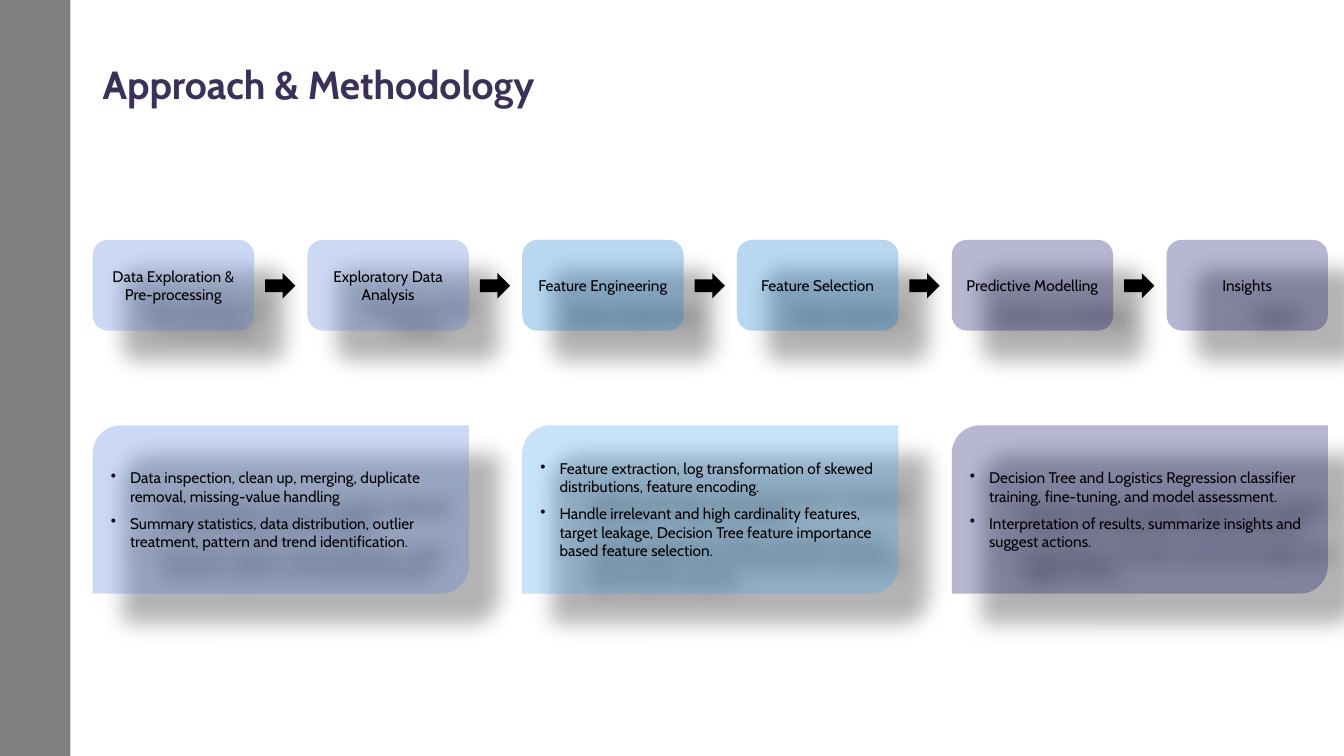
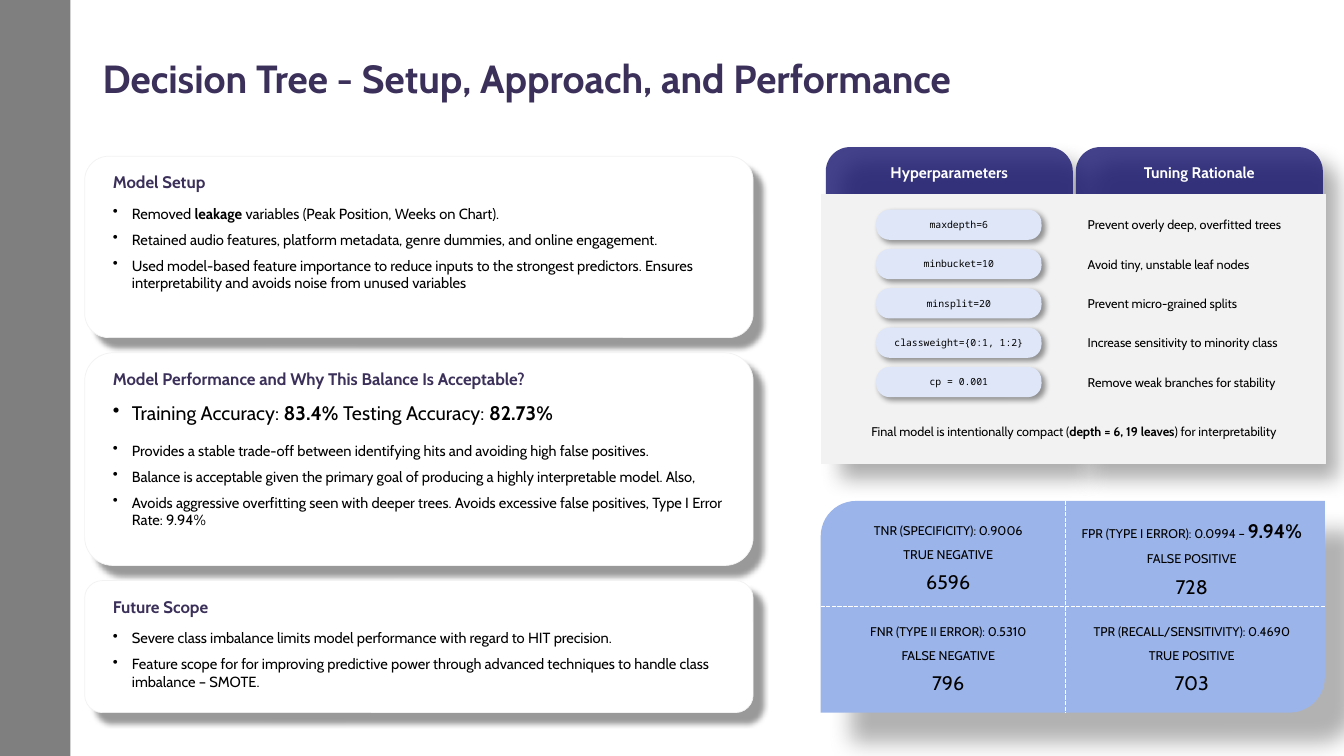
"""Builds two slides: a project methodology flow and decision tree results."""
import pptx
import pptx.util
import pptx.dml.color
import pptx.enum.dml
import pptx.enum.shapes
import pptx.enum.text
import pptx.oxml
from pptx.oxml.ns import qn
from lxml import etree

RGB = pptx.dml.color.RGBColor
SHAPE = pptx.enum.shapes.MSO_SHAPE
ANCHOR = pptx.enum.text.MSO_ANCHOR
CENTER = pptx.enum.text.PP_ALIGN.CENTER
In, Pt = pptx.util.Inches, pptx.util.Pt

BLACK, WHITE = RGB(0, 0, 0), RGB(255, 255, 255)
PLUM = RGB(0x3B, 0x30, 0x59)
PERIWINKLE = RGB(0x59, 0x82, 0xDB)
AZURE = RGB(0x14, 0x80, 0xD1)
SKY = RGB(0x45, 0xA5, 0xED)
INDIGO = RGB(0x15, 0x13, 0x6E)
PALE_GREY = RGB(0xF2, 0xF2, 0xF2)
PILL_BLUE = RGB(0xDE, 0xE6, 0xF8)
MATRIX_BLUE = RGB(0x9B, 0xB4, 0xE9)

WIDTH, HEIGHT = 13.33, 7.5
DEEP_SHADOW = (30, 16, 30)
TAB_SHADOW = (40, 15, 15)
PILL_SHADOW = (40, 4, 3)
PANEL_SHADOW = (40, 4, 10)
DEFAULTS = {"size": 11, "font": "Cabin", "color": BLACK, "bold": False, "bold_size": None,
            "align": None, "after": None, "bullet": False, "spacing": None}
HEADING = {"size": 12, "color": PLUM, "bold": True}

STEPS = [
    ("Data Exploration & Pre-processing", PERIWINKLE),
    ("Exploratory Data Analysis", PERIWINKLE),
    ("Feature Engineering", AZURE),
    ("Feature Selection", AZURE),
    ("Predictive Modelling", INDIGO),
    ("Insights", INDIGO),
]
CARDS = [
    (PERIWINKLE, [
        "Data inspection, clean up, merging, duplicate removal, missing-value handling",
        "Summary statistics, data distribution, outlier treatment, pattern and trend identification."]),
    (SKY, [
        "Feature extraction, log transformation of skewed distributions, feature encoding.",
        "Handle irrelevant and high cardinality features, target leakage, Decision Tree feature "
        "importance based feature selection."]),
    (INDIGO, [
        "Decision Tree and Logistics Regression classifier training, fine-tuning, and model assessment.",
        "Interpretation of results, summarize insights and suggest actions."]),
]
PANELS = [
    ("Model Setup", 1.8, [
        "Removed **leakage** variables (Peak Position, Weeks on Chart).",
        "Retained audio features, platform metadata, genre dummies, and online engagement.",
        "Used model-based feature importance to reduce inputs to the strongest predictors. "
        "Ensures interpretability and avoids noise from unused variables"]),
    ("Model Performance and Why This Balance Is Acceptable?", 2.11, [
        ("Training Accuracy: **83.4%** Testing Accuracy: **82.73%**", {"size": 14, "after": 12}),
        "Provides a stable trade-off between identifying hits and avoiding high false positives.",
        "Balance is acceptable given the primary goal of producing a highly interpretable model. Also,",
        "Avoids aggressive overfitting seen with deeper trees. Avoids excessive false positives, "
        "Type I Error Rate: 9.94%"]),
    ("Future Scope", 1.31, [
        "Severe class imbalance limits model performance with regard to HIT precision.",
        "Feature scope for for improving predictive power through advanced techniques to handle "
        "class imbalance – SMOTE."]),
]
TABS = ["Hyperparameters", "Tuning Rationale"]
TUNING = [
    ("maxdepth=6", "Prevent overly deep, overfitted trees"),
    ("minbucket=10", "Avoid tiny, unstable leaf nodes"),
    ("minsplit=20", "Prevent micro-grained splits"),
    ("classweight={0:1, 1:2}", "Increase sensitivity to minority class"),
    ("cp = 0.001", "Remove weak branches for stability"),
]
TUNING_NOTE = "Final model is intentionally compact (**depth = 6, 19 leaves**) for interpretability"
MATRIX = [
    [("TNR (SPECIFICITY): 0.9006", "TRUE NEGATIVE", "6596"),
     ("FPR (TYPE I ERROR): 0.0994 – **9.94%**", "FALSE POSITIVE", "728")],
    [("FNR (TYPE II ERROR): 0.5310", "FALSE NEGATIVE", "796"),
     ("TPR (RECALL/SENSITIVITY): 0.4690", "TRUE POSITIVE", "703")],
]


def write(sp, paras, anchor=ANCHOR.MIDDLE, inset_top=0.05, **fmt):
    tf = sp.text_frame
    frame = {"word_wrap": True, "vertical_anchor": anchor, "margin_top": In(inset_top)}
    for name, value in frame.items():
        setattr(tf, name, value)
    for i, para in enumerate(paras):
        text, own = (para, {}) if isinstance(para, str) else para
        f = {**DEFAULTS, **fmt, **own}
        p = tf.add_paragraph() if i else tf.paragraphs[0]
        if f["bullet"]:
            pPr = p._p.get_or_add_pPr()
            pPr.set("marL", str(In(0.19)))
            pPr.set("indent", str(In(-0.19)))
            etree.SubElement(pPr, qn("a:buChar")).set("char", "•")
        if f["after"]:
            p.space_after = Pt(f["after"])
        p.alignment, p.line_spacing = f["align"], f["spacing"]
        for j, part in enumerate(text.split("**")):
            if not part:
                continue
            strong = j % 2 == 1
            r = p.add_run()
            r.text = part
            size = f["bold_size"] if strong and f["bold_size"] else f["size"]
            for name, value in {"name": f["font"], "size": Pt(size), "bold": strong or f["bold"]}.items():
                setattr(r.font, name, value)
            r.font.color.rgb = f["color"]


def add_text(s, box, paras, **fmt):
    write(s.shapes.add_textbox(*map(In, box)), paras, **fmt)


def add_shape(s, kind, box, color, alpha=None, line=None, shadow=None, adj=()):
    sp = s.shapes.add_shape(kind, *map(In, box))
    for i, value in enumerate(adj):
        sp.adjustments[i] = value
    sp.fill.solid()
    sp.fill.fore_color.rgb = color
    spPr = sp._element.spPr
    if alpha:
        etree.SubElement(spPr.find(qn("a:solidFill"))[0], qn("a:alpha")).set("val", str(alpha * 1000))
    if line:
        sp.line.color.rgb, sp.line.width = line, Pt(0.5)
    else:
        sp.line.fill.background()
    sp.shadow.inherit = False
    if shadow:
        opacity, blur, dist = shadow
        cast = etree.SubElement(spPr.find(qn("a:effectLst")), qn("a:outerShdw"))
        for name, value in {"blurRad": Pt(blur), "dist": Pt(dist), "dir": 45 * 60000,
                            "algn": "tl", "rotWithShape": 0}.items():
            cast.set(name, str(value))
        tint = etree.SubElement(cast, qn("a:srgbClr"))
        tint.set("val", str(BLACK))
        etree.SubElement(tint, qn("a:alpha")).set("val", str(opacity * 1000))
    return sp


def add_divider(s, *ends):
    line = s.shapes.add_connector(pptx.enum.shapes.MSO_CONNECTOR.STRAIGHT, *map(In, ends))
    line.line.color.rgb, line.line.width = WHITE, Pt(1)
    line.line.dash_style = pptx.enum.dml.MSO_LINE.SQUARE_DOT
    etree.SubElement(line._element.spPr, qn("a:effectLst"))


def new_slide(prs, title, top):
    s = prs.slides.add_slide(prs.slide_layouts[6])
    add_shape(s, SHAPE.RECTANGLE, (0, 0, 0.7, HEIGHT), BLACK, alpha=50)
    add_text(s, (0.92, top, 11.5, 0.53), [title], size=28, color=PLUM, bold=True, spacing=0.9)
    return s


def build_methodology(prs):
    s = new_slide(prs, "Approach & Methodology", 0.6)
    left, pitch, step_w = 0.92, 2.13, 1.6
    for i, (label, color) in enumerate(STEPS):
        x = left + i * pitch
        sp = add_shape(s, SHAPE.ROUNDED_RECTANGLE, (x, 2.38, step_w, 0.9), color, 30, shadow=DEEP_SHADOW)
        write(sp, [label], align=CENTER)
        if i < len(STEPS) - 1:
            add_shape(s, SHAPE.RIGHT_ARROW, (x + 1.71, 2.71, 0.3, 0.25), BLACK)
    for i, (color, points) in enumerate(CARDS):
        box = (left + 2 * i * pitch, 4.22, pitch + step_w, 1.67)
        sp = add_shape(s, SHAPE.ROUND_2_DIAG_RECTANGLE, box, color, 30, shadow=DEEP_SHADOW)
        write(sp, points, bullet=True, after=6, align=pptx.enum.text.PP_ALIGN.LEFT)


def add_panels(s):
    top, gap = 1.55, 0.15
    for heading, height, points in PANELS:
        add_shape(s, SHAPE.ROUNDED_RECTANGLE, (0.84, top, 6.63, height), WHITE,
                  line=PALE_GREY, shadow=PANEL_SHADOW, adj=[0.133])
        add_text(s, (1.02, top + 0.08, 6.28, 0.35), [heading], **HEADING)
        add_text(s, (1.02, top + 0.43, 6.28, height - 0.55), points,
                 anchor=ANCHOR.TOP, size=10.5, bullet=True, after=6)
        top += height + gap


def add_tuning(s):
    tab_w = 2.45
    for i, label in enumerate(TABS):
        x = 8.19 + i * (tab_w + 0.03)
        add_shape(s, SHAPE.ROUND_2_SAME_RECTANGLE, (x, 1.46, tab_w, 3.14), INDIGO, 80,
                  shadow=TAB_SHADOW, adj=[0.098, 0])
        add_text(s, (x, 1.56, tab_w, 0.29), [label], color=WHITE, bold=True, align=CENTER)
    add_shape(s, SHAPE.RECTANGLE, (8.15, 1.93, 5, 2.67), PALE_GREY, line=PALE_GREY)
    for i, (setting, reason) in enumerate(TUNING):
        y = 2.08 + i * 0.39
        sp = add_shape(s, SHAPE.ROUNDED_RECTANGLE, (8.69, y, 1.64, 0.3), PILL_BLUE,
                       shadow=PILL_SHADOW, adj=[0.444])
        write(sp, [setting], size=7, font="Noto Sans Mono", align=CENTER)
        add_text(s, (10.69, y - 0.03, 2.43, 0.36), [reason], size=9, after=3)
    add_text(s, (8.19, 4.13, 4.92, 0.3), [TUNING_NOTE], size=9, after=3, align=CENTER)


def add_matrix(s):
    left, top, width, height = 8.14, 4.97, 5, 2.1
    right, bottom, middle_x, middle_y = left + width, top + height, 10.57, top + height / 2
    add_shape(s, SHAPE.ROUND_2_DIAG_RECTANGLE, (left, top, width, height), MATRIX_BLUE, shadow=DEEP_SHADOW)
    add_divider(s, middle_x, top, middle_x, bottom)
    add_divider(s, left, middle_y, right, middle_y)
    columns = [(left + 0.1, 2.33), (middle_x, 2.5)]
    for i, row in enumerate(MATRIX):
        for (x, w), (rate, name, count) in zip(columns, row):
            add_text(s, (x, 5.02 + i, w, 0.99), [rate, name, (count, {"size": 14})],
                     inset_top=0.1, size=9, bold_size=14, after=6, align=CENTER)


def build_decision_tree(prs):
    s = new_slide(prs, "Decision Tree - Setup, Approach, and Performance", 0.54)
    add_tuning(s)
    add_panels(s)
    add_matrix(s)


def main():
    prs = pptx.Presentation()
    prs.slide_width, prs.slide_height = In(WIDTH), In(HEIGHT)
    build_methodology(prs)
    build_decision_tree(prs)
    prs.save("out.pptx")


if __name__ == "__main__":
    main()
